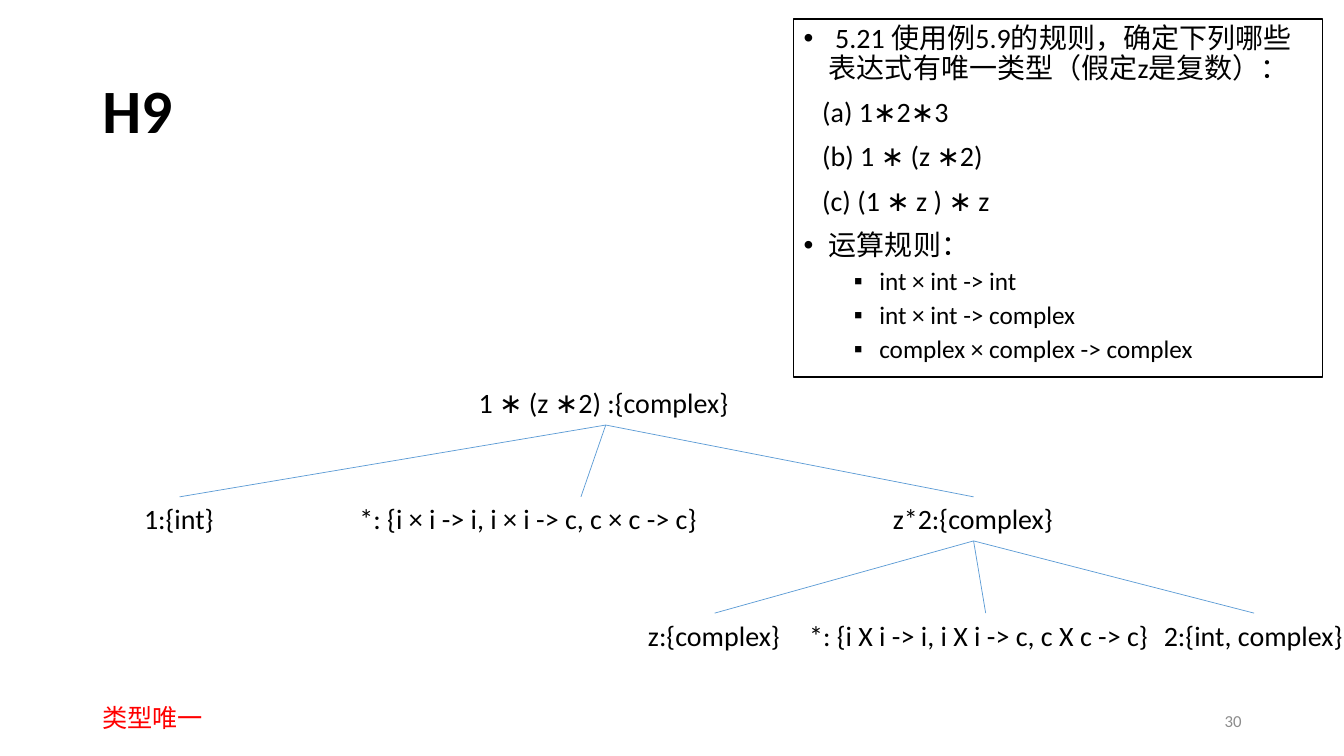
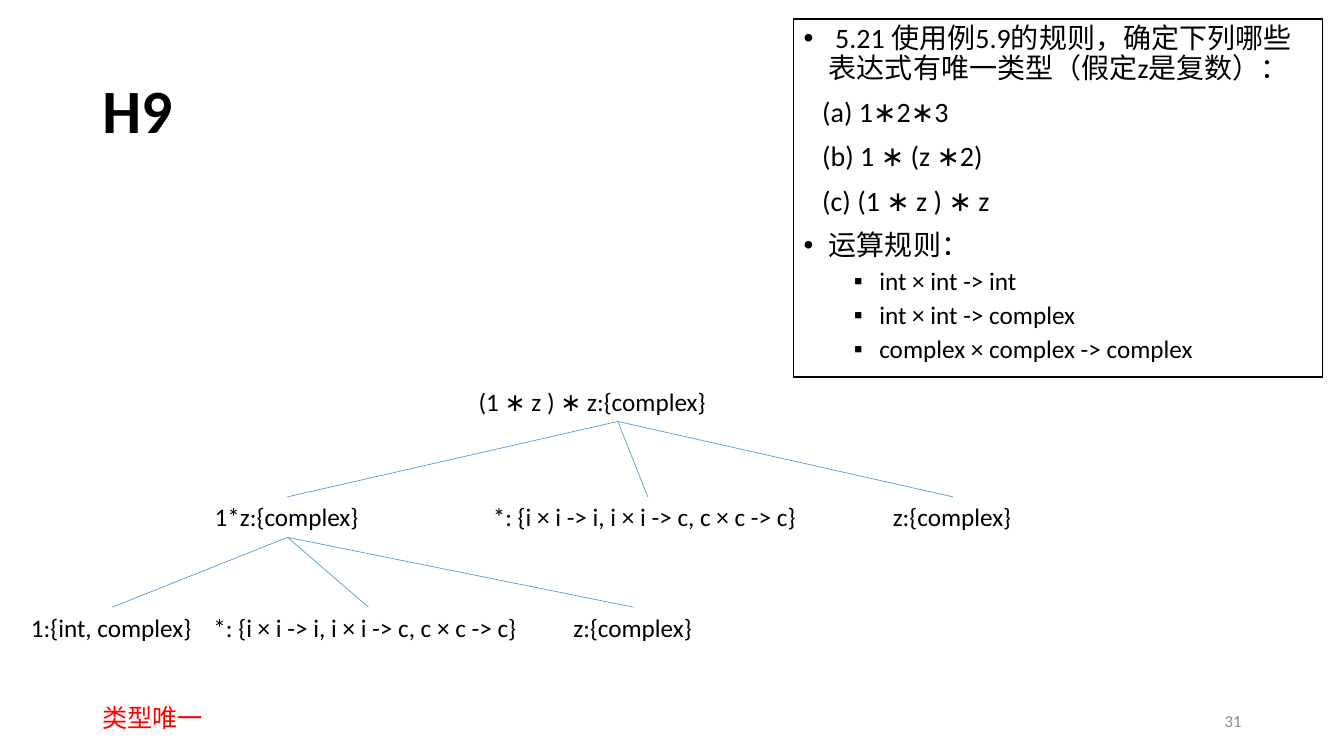
from dataclasses import dataclass

from pptx import Presentation
from pptx.dml.color import RGBColor as RGB
from pptx.enum.shapes import MSO_CONNECTOR as CONNECTOR
from pptx.enum.text import MSO_ANCHOR as ANCHOR, MSO_AUTO_SIZE as FIT, PP_ALIGN as ALIGN
from pptx.oxml.ns import qn
from pptx.util import Cm, Pt


@dataclass(frozen=True)
class Theme:
    font: str = "Calibri"
    bullet_font: str = "Arial"
    ink: RGB = RGB(0x00, 0x00, 0x00)
    paper: RGB = RGB(0xFF, 0xFF, 0xFF)
    branch: RGB = RGB(0x5B, 0x9B, 0xD5)
    verdict: RGB = RGB(0xFF, 0x00, 0x00)
    number: RGB = RGB(0x8C, 0x8C, 0x8C)
    title_size: int = 44
    body_size: int = 20
    small_size: int = 18
    number_size: int = 12


THEME = Theme()

TITLE = "H9"
VERDICT = "类型唯一"
QUESTION = " 5.21 使用例5.9的规则，确定下列哪些表达式有唯一类型（假定z是复数）："
OPTIONS = ["(a) 1∗2∗3", "(b) 1 ∗ (z ∗2)", "(c) (1 ∗ z ) ∗ z"]
RULES_HEADING = "运算规则："
RULES = ["int × int -> int", "int × int -> complex", "complex × complex -> complex"]
OPERATOR = "*: {i × i -> i, i × i -> c, c × c -> c}"
OPERATOR_X = "*: {i X i -> i, i X i -> c, c X c -> c}"


@dataclass(frozen=True)
class Node:
    text: str
    left: float
    width: float
    wrap: bool = False
    children: tuple = ()


PRODUCT_B = Node("1 ∗ (z ∗2) :{complex}", 11.81, 6.91, True, (
    Node("1:{int}", 3.38, 2.29),
    Node(OPERATOR, 8.81, 11.66, True),
    Node("z*2:{complex}", 22.25, 4.57, False, (
        Node("z:{complex}", 16.08, 3.86),
        Node(OPERATOR_X, 20.14, 9.4, True),
        Node("2:{int, complex}", 29.08, 5.05),
    )),
))

PRODUCT_C = Node("(1 ∗ z ) ∗ z:{complex}", 11.81, 7.52, True, (
    Node("1*z:{complex}", 5.16, 4.17, False, (
        Node("1:{int, complex}", 0.53, 4.6),
        Node(OPERATOR, 5.13, 8.31, True),
        Node("z:{complex}", 14.2, 3.53),
    )),
    Node(OPERATOR, 12.17, 8.31, True),
    Node("z:{complex}", 22.25, 3.53),
))

SLIDES = [
    dict(number=30, tree=PRODUCT_B, size=THEME.body_size, height=1.11, rows=(9.6, 12.52, 15.45)),
    dict(number=31, tree=PRODUCT_C, size=THEME.small_size, height=1.02, rows=(9.6, 12.52, 15.3)),
]


def add_box(slide, left, top, width, height, wrap=True, anchor=ANCHOR.TOP, fit=FIT.NONE):
    box = slide.shapes.add_textbox(Cm(left), Cm(top), Cm(width), Cm(height))
    frame = box.text_frame
    frame.word_wrap = wrap
    frame.vertical_anchor = anchor
    frame.auto_size = fit
    return box


def write(box, text, size=THEME.body_size, color=THEME.ink, bold=False, align=ALIGN.LEFT,
          spacing=None, before=0, bullet=None, indent=0, hanging=0, level=0):
    frame = box.text_frame
    first = not frame.paragraphs[0].runs
    paragraph = frame.paragraphs[0] if first else frame.add_paragraph()
    paragraph.alignment = align
    paragraph.level = level
    paragraph.line_spacing = spacing
    paragraph.space_before = Pt(0 if first else before)
    properties = paragraph._p.get_or_add_pPr()
    properties.set("marL", str(Cm(indent)))
    properties.set("indent", str(-Cm(hanging)))
    if bullet:
        face = properties.makeelement(qn("a:buFont"), {"typeface": THEME.bullet_font})
        mark = properties.makeelement(qn("a:buChar"), {"char": bullet})
        properties.extend([face, mark])
    run = paragraph.add_run()
    run.text = text
    run.font.name = THEME.font
    run.font.size = Pt(size)
    run.font.bold = bold
    run.font.color.rgb = color


def add_exercise(slide):
    panel = add_box(slide, 20, 0.48, 13.33, 9.02)
    panel.fill.solid()
    panel.fill.fore_color.rgb = THEME.paper
    panel.line.color.rgb = THEME.ink
    panel.line.width = Pt(1)
    main = dict(spacing=0.9, before=10)
    heading = dict(main, bullet="•", indent=0.64, hanging=0.64)
    write(panel, QUESTION, **heading)
    for option in OPTIONS:
        write(panel, option, indent=0.47, **main)
    write(panel, RULES_HEADING, **heading)
    for rule in RULES:
        write(panel, rule, size=THEME.small_size, spacing=0.9, before=5,
              bullet="▪", indent=1.91, hanging=0.64, level=1)


def add_branch(slide, parent, child):
    branch = slide.shapes.add_connector(CONNECTOR.STRAIGHT, 0, 0, 0, 0)
    branch.begin_connect(parent, 2)
    branch.end_connect(child, 0)
    branch.line.color.rgb = THEME.branch
    branch.line.width = Pt(0.5)
    properties = branch._element.spPr
    properties.append(properties.makeelement(qn("a:effectLst"), {}))


def add_tree(slide, node, rows, height, size):
    label = add_box(slide, node.left, rows[0], node.width, height,
                    wrap=node.wrap, fit=FIT.SHAPE_TO_FIT_TEXT)
    write(label, node.text, size=size)
    for child in node.children:
        add_branch(slide, label, add_tree(slide, child, rows[1:], height, size))
    return label


def add_frame(slide, number):
    title = add_box(slide, 2.33, 1.01, 29.21, 3.68, anchor=ANCHOR.MIDDLE)
    write(title, TITLE, size=THEME.title_size, bold=True, spacing=0.9)
    add_exercise(slide)
    verdict = add_box(slide, 2.33, 17.58, 3.07, 1.02, wrap=False, fit=FIT.SHAPE_TO_FIT_TEXT)
    write(verdict, VERDICT, size=THEME.small_size, color=THEME.verdict)
    page = add_box(slide, 23.92, 17.65, 7.62, 1.01, anchor=ANCHOR.MIDDLE)
    write(page, str(number), size=THEME.number_size, color=THEME.number, align=ALIGN.RIGHT)


def main():
    deck = Presentation()
    deck.slide_width, deck.slide_height = Cm(33.87), Cm(19.05)
    for content in SLIDES:
        slide = deck.slides.add_slide(deck.slide_layouts[6])
        add_frame(slide, content["number"])
        add_tree(slide, content["tree"], content["rows"], content["height"], content["size"])
    deck.save("out.pptx")


if __name__ == "__main__":
    main()
